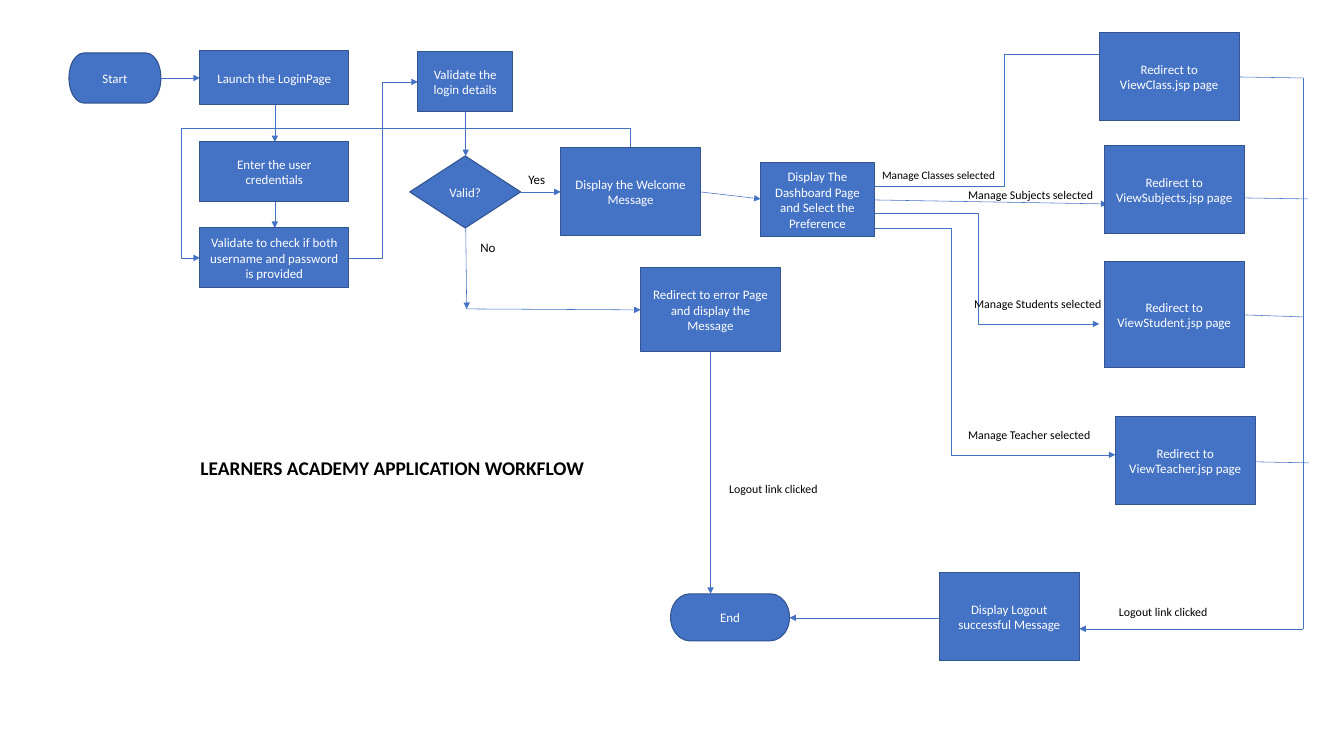
from dataclasses import dataclass
from typing import NamedTuple

from lxml.etree import SubElement
from pptx import Presentation
from pptx.dml.color import RGBColor as Rgb
from pptx.enum.shapes import MSO_CONNECTOR as Link, MSO_SHAPE as Form
from pptx.enum.text import MSO_ANCHOR as Anchor, MSO_AUTO_SIZE as AutoSize, PP_ALIGN as Align
from pptx.oxml.ns import qn
from pptx.util import Emu, Inches, Pt

EMU_PER_PIXEL = 914400 / 77.6


@dataclass(frozen=True)
class Theme:
    font: str = "Calibri"
    fill: Rgb = Rgb(0x44, 0x72, 0xC4)
    outline: Rgb = Rgb(0x32, 0x54, 0x91)
    step_text: Rgb = Rgb(0xFF, 0xFF, 0xFF)
    label_text: Rgb = Rgb(0, 0, 0)
    outline_width: float = 1
    route_width: float = 0.5
    step_size: float = 12
    label_size: float = 11
    small_size: float = 10.5
    title_size: float = 18


class Step(NamedTuple):
    text: str
    left: int
    top: int
    width: int = 140
    height: int = 88
    form: Form = Form.FLOWCHART_PROCESS


class Route(NamedTuple):
    start: tuple[int, int]
    end: tuple[int, int]
    turn_x: int | None = None
    turn_y: int | None = None
    arrow: str | None = "tailEnd"


class Label(NamedTuple):
    text: str
    left: int
    top: int
    width: int
    height: int = 22
    size: float = Theme.label_size
    bold: bool = False
    wrap: bool = False


def px(*lengths: int) -> list[Emu]:
    return [Emu(round(length * EMU_PER_PIXEL)) for length in lengths]


def add_text(box, text: str, size: float, color: Rgb, bold: bool = False):
    para = box.text_frame.paragraphs[0]
    span = para.add_run()
    span.text = text
    span.font.name = theme.font
    span.font.size = Pt(size)
    span.font.bold = bold
    span.font.color.rgb = color
    return para


def draw_step(page, step: Step) -> None:
    box = page.shapes.add_shape(step.form, *px(step.left, step.top, step.width, step.height))
    box.shadow.inherit = False
    box.fill.solid()
    box.fill.fore_color.rgb = theme.fill
    box.line.color.rgb = theme.outline
    box.line.width = Pt(theme.outline_width)
    box.text_frame.word_wrap = True
    box.text_frame.vertical_anchor = Anchor.MIDDLE
    add_text(box, step.text, theme.step_size, theme.step_text).alignment = Align.CENTER


def draw_route(page, route: Route) -> None:
    kind = Link.STRAIGHT if route.turn_x is None else Link.ELBOW
    connector = page.shapes.add_connector(kind, *px(*route.start, *route.end))
    connector.line.color.rgb = theme.fill
    connector.line.width = Pt(theme.route_width)
    properties = connector.element.spPr
    if route.arrow:
        SubElement(properties.find(qn("a:ln")), qn(f"a:{route.arrow}"), type="triangle")
    SubElement(properties, qn("a:effectLst"))

    # Each turn is a share of the connector's extent
    geometry = properties.find(qn("a:prstGeom"))
    if route.turn_y is not None:
        geometry.set("prst", "bentConnector4")
    turns = zip((route.turn_x, route.turn_y), route.start, route.end)
    for number, (turn, start, end) in enumerate(turns, 1):
        if turn is not None:
            share = round(100000 * (turn - start) / (end - start))
            SubElement(geometry.find(qn("a:avLst")), qn("a:gd"),
                       name=f"adj{number}", fmla=f"val {share}")


def draw_label(page, label: Label) -> None:
    box = page.shapes.add_textbox(*px(label.left, label.top, label.width, label.height))
    box.text_frame.word_wrap = label.wrap
    box.text_frame.auto_size = AutoSize.SHAPE_TO_FIT_TEXT
    add_text(box, label.text, label.size, theme.label_text, label.bold)


theme = Theme()
BUS_X = 1304  # shared return line of the four view pages

STEPS = [
    # Login
    Step("Start", 69, 53, 92, 50, Form.FLOWCHART_TERMINATOR),
    Step("Launch the LoginPage", 200, 51, 149, 54, Form.RECTANGLE),
    Step("Enter the user credentials", 200, 142, 149, 60, Form.RECTANGLE),
    Step("Validate to check if both username and password is provided",
         200, 228, 149, 60, Form.RECTANGLE),
    Step("Validate the login details", 418, 52, 95, 60, Form.RECTANGLE),
    Step("Valid?", 410, 156, 111, 72, Form.FLOWCHART_DECISION),
    # Outcome
    Step("Display the Welcome Message", 561, 148),
    Step("Redirect to error Page and display the Message", 641, 268, height=84),
    Step("Display The Dashboard Page and Select the Preference",
         761, 163, 114, 74, Form.RECTANGLE),
    # View pages
    Step("Redirect to ViewClass.jsp page", 1100, 33),
    Step("Redirect to ViewSubjects.jsp page", 1105, 146),
    Step("Redirect to ViewStudent.jsp page", 1105, 262, height=106),
    Step("Redirect to ViewTeacher.jsp page", 1116, 417),
    # Logout
    Step("Display Logout successful Message", 940, 573),
    Step("End", 671, 594, 119, 47, Form.FLOWCHART_TERMINATOR),
]

ROUTES = [
    # Login
    Route((161, 78), (200, 78)),
    Route((275, 105), (275, 142)),
    Route((275, 202), (275, 228)),
    Route((349, 258), (418, 82), turn_x=383),
    Route((466, 112), (466, 156)),
    Route((200, 258), (631, 148), turn_x=181, turn_y=128, arrow="headEnd"),
    # Outcome
    Route((521, 192), (561, 192)),
    Route((466, 228), (467, 309)),
    Route((466, 309), (641, 310)),
    Route((701, 192), (761, 199)),
    # Dashboard to view pages
    Route((875, 186), (1100, 54), turn_x=1005, arrow=None),
    Route((875, 200), (1108, 204)),
    Route((875, 213), (1100, 324), turn_x=979),
    Route((875, 228), (1116, 455), turn_x=952),
    # View pages to logout
    Route((1240, 77), (BUS_X, 78), arrow=None),
    Route((1245, 198), (1309, 199), arrow=None),
    Route((1245, 315), (BUS_X, 317), arrow=None),
    Route((1256, 462), (1310, 463), arrow=None),
    Route((BUS_X, 78), (BUS_X, 629), arrow=None),
    Route((BUS_X, 629), (1080, 629)),
    Route((940, 618), (790, 618)),
    Route((711, 352), (711, 594)),
]

LABELS = [
    Label("Yes", 521, 168, 33, 23, theme.step_size),
    Label("No", 473, 236, 31, 23, theme.step_size),
    Label("Manage Classes selected", 875, 164, 131, size=theme.small_size),
    Label("Manage Subjects selected", 961, 184, 141),
    Label("Manage Students selected", 967, 293, 144),
    Label("Manage Teacher selected", 961, 424, 140),
    Label("Logout link clicked", 1112, 601, 105),
    Label("Logout link clicked", 722, 478, 105),
    Label("LEARNERS ACADEMY APPLICATION WORKFLOW", 193, 452, 451, 31,
          theme.title_size, bold=True, wrap=True),
]

deck = Presentation()
deck.slide_width, deck.slide_height = Inches(17.33), Inches(9.5)
page = deck.slides.add_slide(deck.slide_layouts[6])

# Routes lie beneath the steps, labels on top
for route in ROUTES:
    draw_route(page, route)
for step in STEPS:
    draw_step(page, step)
for label in LABELS:
    draw_label(page, label)

deck.save("out.pptx")
